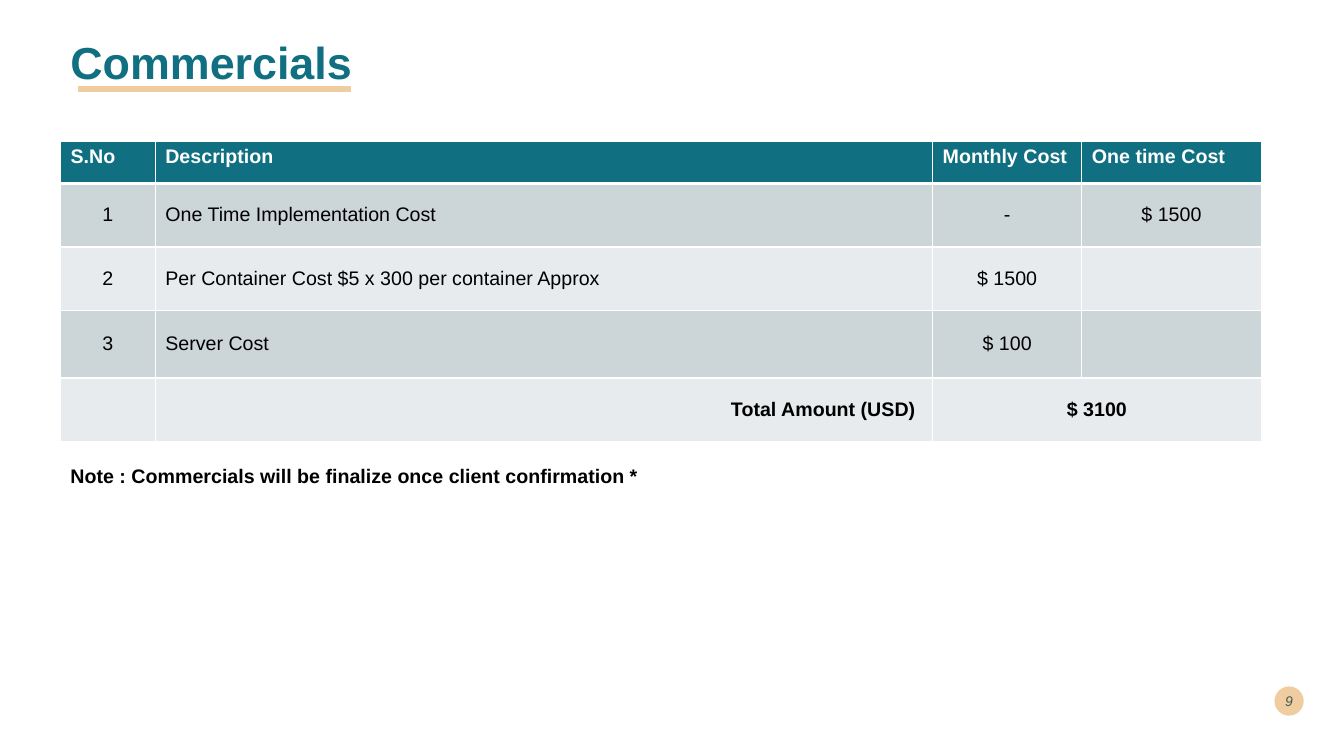
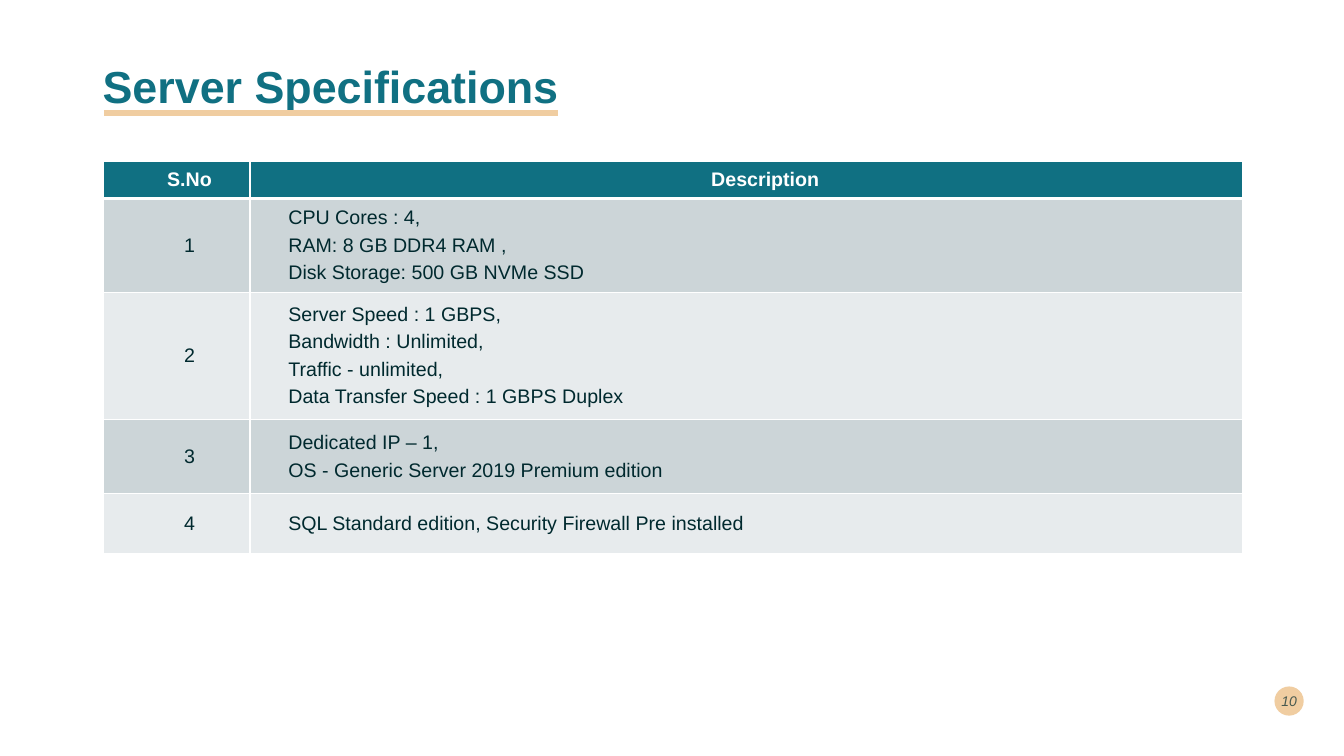
import pptx
import pptx.util
import pptx.dml.color
import pptx.enum.shapes
import pptx.enum.text
import pptx.oxml
import pptx.oxml.ns

Inches = pptx.util.Inches
Pt = pptx.util.Pt
ALIGN = pptx.enum.text.PP_ALIGN
ANCHOR = pptx.enum.text.MSO_ANCHOR
L, C, R = ALIGN.LEFT, ALIGN.CENTER, ALIGN.RIGHT
FONT = "Arial"
TEAL, SAND, WHITE, BLACK, DARK = "107082", "F0CDA1", "FFFFFF", "000000", "00292E"
BANDS = "CCD5D8", "E7EBED"


def color(code):
    """Turn a hex string into a colour."""
    return pptx.dml.color.RGBColor.from_string(code)


def style(para, size, ink, bold=False, italic=False, align=L):
    """Set the font and alignment of a paragraph."""
    para.alignment = align
    font = para.font
    font.name, font.size, font.bold, font.italic = FONT, Pt(size), bold, italic
    font.color.rgb = color(ink)


def label(slide, text, box, size, ink, anchor):
    """Add a bold line of text in a box."""
    frame = slide.shapes.add_textbox(*map(Inches, box)).text_frame
    frame.word_wrap = True
    frame.vertical_anchor = anchor
    para = frame.paragraphs[0]
    para.text = text
    style(para, size, ink, bold=True)
    return para


def title(slide, text, left, top, start, width):
    """Add a slide title with its underline."""
    para = label(slide, text, (left, top, 11.5, 1.28), 32, TEAL, ANCHOR.MIDDLE)
    para.line_spacing = 0.9
    level = Inches(top + 0.88)
    rule = slide.shapes.add_connector(
        pptx.enum.shapes.MSO_CONNECTOR.STRAIGHT,
        Inches(start), level, Inches(start + width), level)
    rule.line.color.rgb = color(SAND)
    rule.line.width = Pt(4.32)
    rule._element.spPr.append(pptx.oxml.parse_xml(
        f'<a:effectLst {pptx.oxml.ns.nsdecls("a")}/>'))


def badge(slide, number):
    """Add the round page number."""
    disc = slide.shapes.add_shape(
        pptx.enum.shapes.MSO_SHAPE.OVAL,
        Inches(12.64), Inches(6.81), Inches(0.29), Inches(0.29))
    disc.shadow.inherit = False
    disc.fill.solid()
    disc.fill.fore_color.rgb = color(SAND)
    disc.line.fill.background()
    frame = disc.text_frame
    frame.margin_left = frame.margin_right = 0
    frame.margin_top = frame.margin_bottom = 0
    frame.word_wrap = False
    frame.vertical_anchor = ANCHOR.MIDDLE
    para = frame.paragraphs[0]
    para.text = str(number)
    style(para, 10, DARK, italic=True, align=C)
    for tone in para._p.iter(pptx.oxml.ns.qn("a:srgbClr")):
        tone.append(pptx.oxml.parse_xml(
            f'<a:alpha {pptx.oxml.ns.nsdecls("a")} val="70000"/>'))


def border(cell, row):
    """Draw white cell borders, thick below the header."""
    thick = {(0, "B"), (1, "T")}
    for side in "LRTB":
        width = Pt(3 if (row, side) in thick else 1)
        cell._tc.get_or_add_tcPr().append(pptx.oxml.parse_xml(
            f'<a:ln{side} {pptx.oxml.ns.nsdecls("a")} w="{width}"><a:solidFill>'
            f'<a:srgbClr val="{WHITE}"/></a:solidFill></a:ln{side}>'))


def grid(slide, left, top, cols, tall, rows, ink, heads, aligns, dents=None):
    """Add a banded table and return it."""
    table = slide.shapes.add_table(
        len(rows), len(cols), Inches(left), Inches(top),
        Inches(sum(cols)), Inches(sum(tall))).table
    for col, width in zip(table.columns, cols):
        col.width = Inches(width)
    for y, (row, high) in enumerate(zip(rows, tall)):
        table.rows[y].height = Inches(high)
        for x, text in enumerate(row):
            cell = table.cell(y, x)
            border(cell, y)
            cell.fill.solid()
            cell.fill.fore_color.rgb = color(BANDS[(y - 1) % 2] if y else TEAL)
            cell.text = text
            if y or dents:
                cell.vertical_anchor = ANCHOR.MIDDLE
            if dents:
                cell.margin_left = cell.margin_right = 0
                cell.margin_top = cell.margin_bottom = 0
            for n, para in enumerate(cell.text_frame.paragraphs):
                if dents:
                    para._p.get_or_add_pPr().set("marL", str(Inches(dents[x])))
                if n:
                    para.space_before = Pt(3.8)
                style(para, 14, ink if y else WHITE, bold=not y,
                      align=aligns[x] if y else heads)
    return table


def costs(slide):
    """Build the slide of commercials."""
    title(slide, "Commercials", 0.6, 0, 0.77, 2.71)
    rows = [
        ("S.No", "Description", "Monthly Cost", "One time Cost"),
        ("1", "One Time Implementation Cost", "-", "$ 1500"),
        ("2", "Per Container Cost $5 x 300 per container Approx", "$ 1500", ""),
        ("3", "Server Cost", "$ 100", ""),
        ("", "Total Amount (USD)", "$ 3100", ""),
    ]
    table = grid(slide, 0.6, 1.4, (0.94, 7.71, 1.48, 1.78),
                 (0.42, 0.63, 0.63, 0.67, 0.63), rows, BLACK, L, (C, L, C, C))
    total, amount = table.cell(4, 1), table.cell(4, 2)
    amount.merge(table.cell(4, 3))
    total.margin_right = Inches(0.17)
    total.text_frame.paragraphs[0].alignment = R
    for cell in (total, amount):
        cell.text_frame.paragraphs[0].font.bold = True
    label(slide, "Note : Commercials will be finalize once client confirmation *",
          (0.6, 4.55, 6.09, 0.34), 14, BLACK, ANCHOR.TOP)


def server(slide):
    """Build the slide of server specifications."""
    title(slide, "Server Specifications", 0.92, 0.24, 1.03, 4.5)
    rows = [
        ("S.No", "Description"),
        ("1", "CPU Cores : 4,\nRAM: 8 GB DDR4 RAM ,\n"
              "Disk Storage: 500 GB NVMe SSD"),
        ("2", "Server Speed : 1 GBPS,\nBandwidth : Unlimited,\n"
              "Traffic - unlimited,\nData Transfer Speed : 1 GBPS Duplex"),
        ("3", "Dedicated IP – 1,\nOS - Generic Server 2019 Premium edition"),
        ("4", "SQL Standard edition, Security Firewall Pre installed"),
    ]
    grid(slide, 1.03, 1.6, (1.45, 9.84), (0.37, 0.93, 1.26, 0.74, 0.59),
         rows, DARK, C, (C, L), (0.25, 0.38))


def main():
    """Build and save the slides."""
    deck = pptx.Presentation()
    deck.slide_width, deck.slide_height = Inches(13.33), Inches(7.5)
    for number, build in enumerate((costs, server), 9):
        slide = deck.slides.add_slide(deck.slide_layouts[6])
        badge(slide, number)
        build(slide)
    deck.save("out.pptx")


if __name__ == "__main__":
    main()
